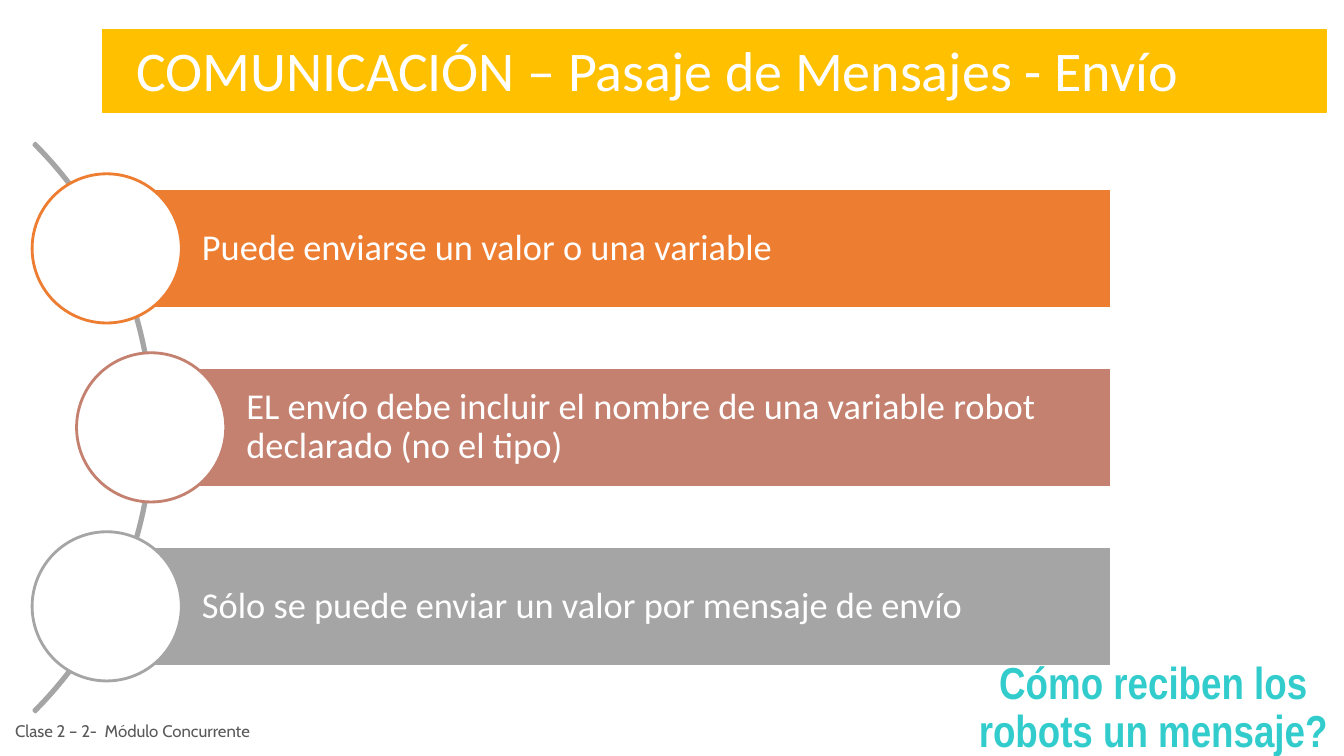
from dataclasses import dataclass

from pptx import Presentation
from pptx.dml.color import RGBColor
from pptx.enum.shapes import MSO_SHAPE
from pptx.enum.text import MSO_ANCHOR, MSO_AUTO_SIZE, PP_ALIGN
from pptx.shapes.autoshape import Shape
from pptx.slide import Slide
from pptx.util import Cm, Pt

WHITE = "FFFFFF"
GOLD = "FFC000"
GREY = "A5A5A5"

BAR_TOP, BAR_HEIGHT, BAR_PITCH, BAR_RIGHT = 4.75, 3.02, 4.51, 28.0
CIRCLE_DIAMETER = 3.76


@dataclass(frozen=True)
class Box:
    left: float
    top: float
    width: float
    height: float


@dataclass(frozen=True)
class TextStyle:
    font: str
    size: float
    colour: str
    bold: bool = False
    alignment: PP_ALIGN = PP_ALIGN.LEFT
    anchor: MSO_ANCHOR = MSO_ANCHOR.TOP
    line_spacing: float = 1.0
    insets: tuple[float, float, float, float] = (0.25, 0.13, 0.25, 0.13)


@dataclass(frozen=True)
class Message:
    text: str
    left: float
    colour: str


TITLE_STYLE = TextStyle("Calibri", 40, WHITE)
BAR_STYLE = TextStyle("Calibri", 26, WHITE, anchor=MSO_ANCHOR.MIDDLE,
                      line_spacing=0.9, insets=(2.4, 0.17, 0.17, 0.17))
QUESTION_STYLE = TextStyle("Arial Narrow", 32, "33CCCC", bold=True,
                           alignment=PP_ALIGN.CENTER, line_spacing=0.9)
FOOTER_STYLE = TextStyle("Cabin", 12, "595959", anchor=MSO_ANCHOR.MIDDLE)

MESSAGES = [
    Message("Puede enviarse un valor o una variable", 2.69, "ED7D31"),
    Message("EL envío debe incluir el nombre de una variable robot declarado (no el tipo)",
            3.81, "C48170"),
    Message("Sólo se puede enviar un valor por mensaje de envío", 2.69, GREY),
]


def rgb(colour: str) -> RGBColor:
    return RGBColor.from_string(colour)


def apply(target: object, values: dict[str, object]) -> None:
    for name, value in values.items():
        setattr(target, name, value)


def place(shape: Shape, box: Box) -> None:
    apply(shape, {"left": Cm(box.left), "top": Cm(box.top),
                  "width": Cm(box.width), "height": Cm(box.height)})


def write(shape: Shape, text: str, style: TextStyle) -> None:
    frame = shape.text_frame
    left, top, right, bottom = style.insets
    frame.text = text
    apply(frame, {"word_wrap": True, "auto_size": MSO_AUTO_SIZE.NONE,
                  "vertical_anchor": style.anchor,
                  "margin_left": Cm(left), "margin_top": Cm(top),
                  "margin_right": Cm(right), "margin_bottom": Cm(bottom)})
    paragraph = frame.paragraphs[0]
    apply(paragraph, {"alignment": style.alignment, "line_spacing": style.line_spacing,
                      "space_before": Pt(0), "space_after": Pt(0)})
    font = paragraph.runs[0].font
    apply(font, {"name": style.font, "size": Pt(style.size), "bold": style.bold})
    font.color.rgb = rgb(style.colour)


def add_figure(slide: Slide, kind: MSO_SHAPE, box: Box, fill: str | None,
               line: str, line_width: float = 2) -> Shape:
    shape = slide.shapes.add_shape(kind, Cm(box.left), Cm(box.top),
                                   Cm(box.width), Cm(box.height))
    shape.shadow.inherit = False
    if fill is None:
        shape.fill.background()
    else:
        shape.fill.solid()
        shape.fill.fore_color.rgb = rgb(fill)
    shape.line.color.rgb = rgb(line)
    shape.line.width = Pt(line_width)
    return shape


def add_label(slide: Slide, box: Box, text: str, style: TextStyle) -> None:
    label = slide.shapes.add_textbox(0, 0, 0, 0)
    place(label, box)
    write(label, text, style)


def add_message(slide: Slide, message: Message, top: float) -> None:
    bar_box = Box(message.left, top, BAR_RIGHT - message.left, BAR_HEIGHT)
    bar = add_figure(slide, MSO_SHAPE.RECTANGLE, bar_box, message.colour, WHITE)
    write(bar, message.text, BAR_STYLE)
    # The circle is centred on the left edge of its bar
    circle_box = Box(message.left - CIRCLE_DIAMETER / 2,
                     top + (BAR_HEIGHT - CIRCLE_DIAMETER) / 2,
                     CIRCLE_DIAMETER, CIRCLE_DIAMETER)
    add_figure(slide, MSO_SHAPE.OVAL, circle_box, WHITE, message.colour)


def main() -> None:
    presentation = Presentation()
    apply(presentation, {"slide_width": Cm(33.87), "slide_height": Cm(19.05)})
    slide = presentation.slides.add_slide(presentation.slide_layouts[5])

    # Title on its banner, which goes behind it
    banner = add_figure(slide, MSO_SHAPE.RECTANGLE, Box(2.59, 0.76, 30.84, 2.06),
                        GOLD, GOLD, 1)
    title = slide.shapes.title
    title.element.addprevious(banner.element)
    place(title, Box(3.18, 0.76, 27.05, 1.96))
    write(title, "COMUNICACIÓN – Pasaje de Mensajes - Envío", TITLE_STYLE)

    # Arc that links the circles
    arc = add_figure(slide, MSO_SHAPE.BLOCK_ARC, Box(-16.41, 0.64, 20.27, 20.27),
                     None, GREY)
    for index, value in enumerate((189, 27, 0.003)):
        arc.adjustments[index] = value

    # Message bars
    for index, message in enumerate(MESSAGES):
        add_message(slide, message, BAR_TOP + index * BAR_PITCH)

    # Closing question and footer
    add_label(slide, Box(23.95, 16.51, 10.24, 2.69),
              "Cómo reciben los robots un mensaje?", QUESTION_STYLE)
    add_label(slide, Box(0.13, 17.91, 6.81, 1.02),
              "Clase 2 – 2-  Módulo Concurrente", FOOTER_STYLE)

    presentation.save("out.pptx")


if __name__ == "__main__":
    main()
